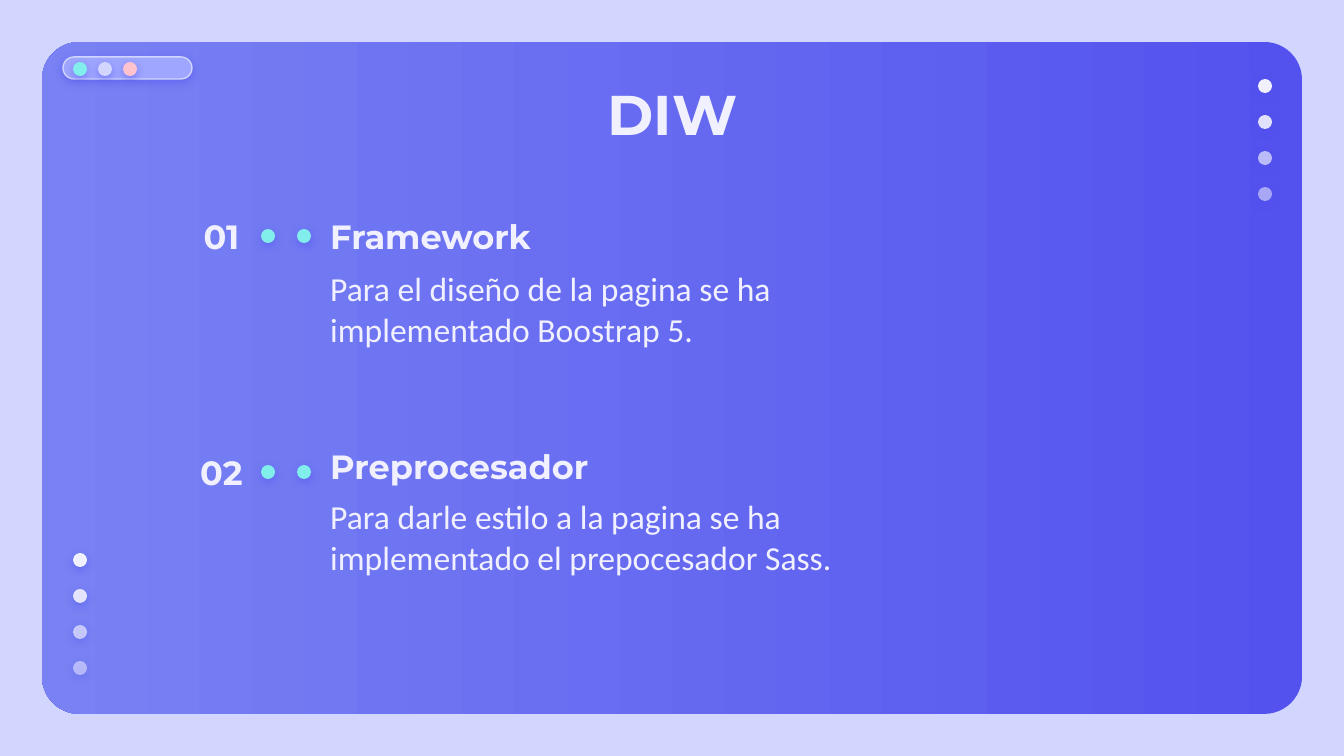
"""Build the DIW slide: a gradient panel with two numbered topics and dot ornaments."""
import pptx
import pptx.dml.color
import pptx.enum.shapes
import pptx.enum.text
import pptx.oxml
import pptx.oxml.ns
import pptx.util
from dataclasses import dataclass

PX = 9144000 / 1344
DOT = 14
DOT_PITCH = 36


@dataclass(frozen=True)
class Theme:
    backdrop: str = "D2D6FF"
    deep: str = "5352EE"
    soft: str = "7882F3"
    bar: str = "9EA6FF"
    mint: str = "81EEEB"
    pink: str = "FFC3D0"
    light: str = "F1F0FF"
    heading_font: str = "Montserrat"
    body_font: str = "Calibri"
    title_size: int = 30
    text_size: int = 18


THEME = Theme()
ALIGN = pptx.enum.text.PP_ALIGN
ANCHOR = pptx.enum.text.MSO_ANCHOR
SHAPE = pptx.enum.shapes.MSO_SHAPE


def px(length):
    return pptx.util.Emu(round(length * PX))


def rgb(value):
    return pptx.dml.color.RGBColor.from_string(value)


def add_glow(shape):
    effects = shape._element.spPr.find(pptx.oxml.ns.qn("a:effectLst"))
    effects.append(pptx.oxml.parse_xml(
        f'<a:outerShdw {pptx.oxml.ns.nsdecls("a")} blurRad="57150" dist="19050" '
        'dir="5400000" algn="bl" rotWithShape="0">'
        f'<a:srgbClr val="{THEME.deep}"><a:alpha val="50000"/></a:srgbClr></a:outerShdw>'))


def set_opacity(shape, percent):
    color = shape._element.spPr.find(".//" + pptx.oxml.ns.qn("a:srgbClr"))
    color.append(pptx.oxml.parse_xml(
        f'<a:alpha {pptx.oxml.ns.nsdecls("a")} val="{percent * 1000}"/>'))


def add_plain(slide, preset, box):
    shape = slide.shapes.add_shape(preset, *map(px, box))
    shape.shadow.inherit = False
    shape.line.fill.background()
    return shape


def add_panel(slide):
    panel = add_plain(slide, SHAPE.ROUNDED_RECTANGLE, (42, 42, 1260, 672))
    panel.adjustments[0] = 0.056
    panel.fill.gradient()
    panel.fill.gradient_angle = 180
    for stop, color in zip(panel.fill.gradient_stops, (THEME.deep, THEME.soft)):
        stop.color.rgb = rgb(color)


def add_dot(slide, left, top, color, opacity=100):
    dot = add_plain(slide, SHAPE.OVAL, (left, top, DOT, DOT))
    dot.fill.solid()
    dot.fill.fore_color.rgb = rgb(color)
    if opacity < 100:
        set_opacity(dot, opacity)
    add_glow(dot)


def add_window_bar(slide):
    bar = add_plain(slide, SHAPE.ROUNDED_RECTANGLE, (63, 57, 129, 22))
    bar.adjustments[0] = 0.5
    bar.fill.solid()
    bar.fill.fore_color.rgb = rgb(THEME.bar)
    bar.line.color.rgb = rgb(THEME.backdrop)
    bar.line.width = pptx.util.Pt(0.75)
    add_glow(bar)
    for column, color in enumerate((THEME.mint, THEME.backdrop, THEME.pink)):
        add_dot(slide, 73 + 25 * column, 62, color)


def add_fading_dots(slide, left, top):
    for row, opacity in enumerate((100, 90, 67, 54)):
        add_dot(slide, left, top + DOT_PITCH * row, THEME.light, opacity)


def write(shape, text, font, size, bold, align, anchor):
    frame = shape.text_frame
    frame.word_wrap = True
    frame.auto_size = pptx.enum.text.MSO_AUTO_SIZE.NONE
    frame.vertical_anchor = anchor
    frame.margin_left = frame.margin_right = pptx.util.Inches(0.1)
    frame.margin_top = frame.margin_bottom = pptx.util.Inches(0.1)
    paragraph = frame.paragraphs[0]
    paragraph.alignment = align
    run = paragraph.add_run()
    run.text = text
    run.font.name = font
    run.font.size = pptx.util.Pt(size)
    run.font.bold = bold
    run.font.color.rgb = rgb(THEME.light)


def add_title(slide, text):
    title = slide.shapes.title
    title.left, title.top, title.width, title.height = map(px, (106, 66, 1133, 85))
    write(title, text, THEME.heading_font, THEME.title_size, True, ALIGN.CENTER, ANCHOR.TOP)
    slide.shapes._spTree.append(title._element)


def add_label(slide, box, text, font, bold, align=ALIGN.LEFT):
    label = slide.shapes.add_textbox(*map(px, box))
    write(label, text, font, THEME.text_size, bold, align, ANCHOR.MIDDLE)


def add_topic(slide, number, heading, body, number_top, heading_top, body_top):
    add_label(slide, (157, number_top, 129, 36), number, THEME.heading_font, True, ALIGN.CENTER)
    add_label(slide, (317, heading_top, 339, 36), heading, THEME.heading_font, True)
    add_label(slide, (317, body_top, 640, 71), body, THEME.body_font, False)
    for column in range(2):
        add_dot(slide, 261 + DOT_PITCH * column, number_top + 11, THEME.mint)


def main():
    deck = pptx.Presentation()
    deck.slide_width, deck.slide_height = px(1344), px(756)
    slide = deck.slides.add_slide(deck.slide_layouts[5])
    slide.background.fill.solid()
    slide.background.fill.fore_color.rgb = rgb(THEME.backdrop)
    add_panel(slide)
    add_window_bar(slide)
    add_fading_dots(slide, 1258, 79)
    add_fading_dots(slide, 73, 553)
    add_title(slide, "DIW")
    add_topic(slide, "01", "Framework",
              "Para el diseño de la pagina se ha implementado Boostrap 5.", 218, 218, 273)
    add_topic(slide, "02", "Preprocesador",
              "Para darle estilo a la pagina se ha implementado el prepocesador Sass.",
              454, 448, 501)
    deck.save("out.pptx")


if __name__ == "__main__":
    main()
